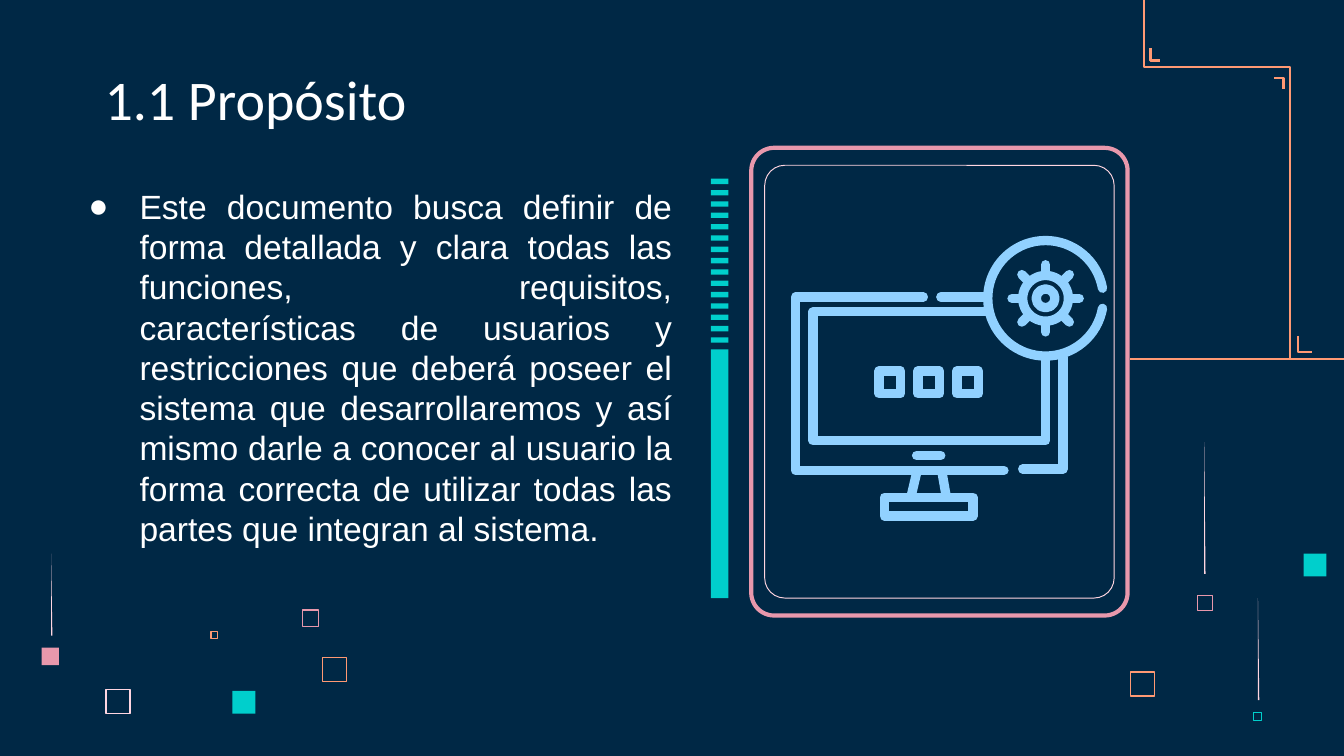
from math import cos, radians, sin

from lxml import etree
from pptx import Presentation
from pptx.dml.color import RGBColor
from pptx.enum.shapes import MSO_CONNECTOR, MSO_SHAPE
from pptx.enum.text import MSO_ANCHOR, PP_ALIGN
from pptx.oxml.ns import qn
from pptx.util import Inches, Pt

RECT, ROUND, OVAL = MSO_SHAPE.RECTANGLE, MSO_SHAPE.ROUNDED_RECTANGLE, MSO_SHAPE.OVAL
STRAIGHT = MSO_CONNECTOR.STRAIGHT
TOP, BOTTOM = MSO_ANCHOR.TOP, MSO_ANCHOR.BOTTOM
LEFT, JUSTIFY = PP_ALIGN.LEFT, PP_ALIGN.JUSTIFY

NAVY, WHITE, TEAL, PINK = "002845", "FFFFFF", "00CFCC", "E898AC"
BLUSH, ORANGE, SKY = "FFD6E1", "FF9973", "91D1FF"

TITLE = "1.1 Propósito"
BODY = (
    "Este documento busca definir de forma detallada y clara todas las funciones, "
    "requisitos, características de usuarios y restricciones que deberá poseer el "
    "sistema que desarrollaremos y así mismo darle a conocer al usuario la forma "
    "correcta de utilizar todas las partes que integran al sistema."
)

TEXTS = [
    (BODY, (0.44, 1.28, 4.66, 2.91), TOP, JUSTIFY, {"name": "Arial", "size": Pt(18)}),
    (TITLE, (0.68, 0.45, 2.94, 0.63), BOTTOM, LEFT, {"name": "Calibri", "size": Pt(30)}),
]

SOLID = [
    (1.73, 5.14, 0.17, TEAL),
    (0.31, 4.82, 0.13, PINK),
    (9.7, 4.12, 0.17, TEAL),
]
HOLLOW = [
    (0.79, 5.13, 0.18, BLUSH, 1),
    (2.25, 4.54, 0.12, PINK, 0.75),
    (1.57, 4.7, 0.05, ORANGE, 0.75),
    (2.4, 4.89, 0.18, ORANGE, 0.75),
    (8.91, 4.43, 0.11, PINK, 0.5),
    (9.33, 5.3, 0.06, TEAL, 0.5),
    (8.41, 5, 0.18, ORANGE, 0.75),
]
STREAKS = [(8.96, 3.29, 0.98), (0.38, 4.12, 0.61), (9.36, 4.45, 0.76)]

FRAMES = [
    ((5.59, 1.1, 2.8, 3.48), 0.17, PINK, 2.25),
    ((5.69, 1.23, 2.6, 3.22), 0.15, BLUSH, 0.5),
]
BAR_X, BAR_W, DASH_H, DASHES = 5.29, 0.13, 0.04, 15
DASH_TOP, DASH_END = 1.33, 2.51

TRACES = [
    [(8.41, 2.67), (10, 2.67)],
    [(8.51, 0), (8.51, 0.5), (9.6, 0.5), (9.6, 2.67)],
    [(9.66, 2.5), (9.66, 2.62), (9.76, 2.62)],
    [(9.48, 0.58), (9.55, 0.58), (9.55, 0.66)],
    [(8.56, 0.36), (8.56, 0.45), (8.63, 0.45)],
]

HUB = (7.78, 2.22)
LENS_R, TOOTH_IN, TOOTH_OUT = 0.43, 0.2, 0.25
RINGS = [0.17, 0.07]
ICON = [
    [(6.87, 2.21), (5.92, 2.21), (5.92, 3.5), (7.47, 3.5)],
    [(7.61, 3.49), (7.91, 3.49), (7.91, 2.66)],
    [(7, 2.21), (7.33, 2.21)],
    [(7.34, 2.32), (6.05, 2.32), (6.05, 3.28), (7.78, 3.28), (7.78, 2.66)],
    [(6.82, 3.39), (7, 3.39)],
    [(6.82, 3.52), (6.78, 3.69)],
    [(7.01, 3.52), (7.04, 3.69)],
]
BOXES = [(6.58, 3.7, 0.66, 0.14)] + [(6.54 + i * 0.29, 2.76, 0.16, 0.17) for i in range(3)]
STROKE = 5


def tint(color):
    return RGBColor.from_string(color)


def paint(shape, fill=None, line=None, width=1, cap="flat"):
    shape.shadow.inherit = False
    if fill:
        shape.fill.solid()
        shape.fill.fore_color.rgb = tint(fill)
    else:
        shape.fill.background()
    edge(shape, line, width, cap)


def edge(shape, line, width, cap):
    if not line:
        shape.line.fill.background()
        return
    shape.line.color.rgb = tint(line)
    shape.line.width = Pt(width)
    if cap == "rnd":
        ln = shape.element.spPr.find(qn("a:ln"))
        ln.set("cap", cap)
        etree.SubElement(ln, qn("a:round"))


def block(kind, box, **style):
    shape = shapes.add_shape(kind, *map(Inches, box))
    paint(shape, **style)
    return shape


def trace(points, color, width, cap="flat"):
    if len(points) == 2:
        ends = [Inches(n) for point in points for n in point]
        link = shapes.add_connector(STRAIGHT, *ends)
        edge(link, color, width, cap)
        etree.SubElement(link.element.spPr, qn("a:effectLst"))
    else:
        paint(outline(points, False), line=color, width=width, cap=cap)


def outline(points, close):
    spots = [(Inches(x), Inches(y)) for x, y in points]
    pen = shapes.build_freeform(*spots[0])
    pen.add_line_segments(spots[1:], close=close)
    return pen.convert_to_shape()


def spoke(angle, radius):
    turn = radians(angle)
    return HUB[0] + radius * cos(turn), HUB[1] + radius * sin(turn)


def write(text, box, anchor, align, font):
    frame = shapes.add_textbox(*map(Inches, box)).text_frame
    margins = {f"margin_{side}": Inches(0.1) for side in ("left", "right", "top", "bottom")}
    for key, value in {"word_wrap": True, "vertical_anchor": anchor, **margins}.items():
        setattr(frame, key, value)
    para = frame.paragraphs[0]
    para.alignment = align
    run = para.add_run()
    run.text = text
    for key, value in font.items():
        setattr(run.font, key, value)
    run.font.color.rgb = tint(WHITE)
    return para


def bullet(para):
    props = para._p.get_or_add_pPr()
    props.set("marL", str(Inches(0.5)))
    props.set("indent", str(Inches(-0.38)))
    color = etree.SubElement(props, qn("a:buClr"))
    etree.SubElement(color, qn("a:srgbClr"), val=WHITE)
    etree.SubElement(props, qn("a:buFont"), typeface="Arial")
    etree.SubElement(props, qn("a:buChar"), char="●")


deck = Presentation()
deck.slide_width = Inches(10)
deck.slide_height = deck.slide_width * 9 // 16
slide = deck.slides.add_slide(deck.slide_layouts[6])
slide.background.fill.solid()
slide.background.fill.fore_color.rgb = tint(NAVY)
shapes = slide.shapes

for x, y, size, color in SOLID:
    block(RECT, (x, y, size, size), fill=color)
for x, y, size, color, width in HOLLOW:
    block(RECT, (x, y, size, size), line=color, width=width)
for x, y, tall in STREAKS:
    paint(outline([(x, y), (x, y + tall), (x + 0.01, y + tall)], True), fill=BLUSH)

body, title = [write(*item) for item in TEXTS]
bullet(body)

for box, radius, color, width in FRAMES:
    block(ROUND, box, line=color, width=width).adjustments[0] = radius / box[2]
step = (DASH_END - DASH_TOP) / (DASHES - 1)
for i in range(DASHES):
    block(RECT, (BAR_X, DASH_TOP + i * step, BAR_W, DASH_H), fill=TEAL)
block(RECT, (BAR_X, 2.6, BAR_W, 1.85), fill=TEAL)
for points in TRACES:
    trace(points, ORANGE, 1.25)

lens = [spoke(angle, LENS_R) for angle in range(10, 351, 5)]
teeth = [[spoke(a, TOOTH_IN), spoke(a, TOOTH_OUT)] for a in range(0, 360, 45)]
for points in ICON + [lens] + teeth:
    trace(points, SKY, STROKE, "rnd")
for box in BOXES:
    block(RECT, box, line=SKY, width=STROKE, cap="rnd")
for r in RINGS:
    block(OVAL, (HUB[0] - r, HUB[1] - r, 2 * r, 2 * r), line=SKY, width=STROKE)

deck.save("out.pptx")
